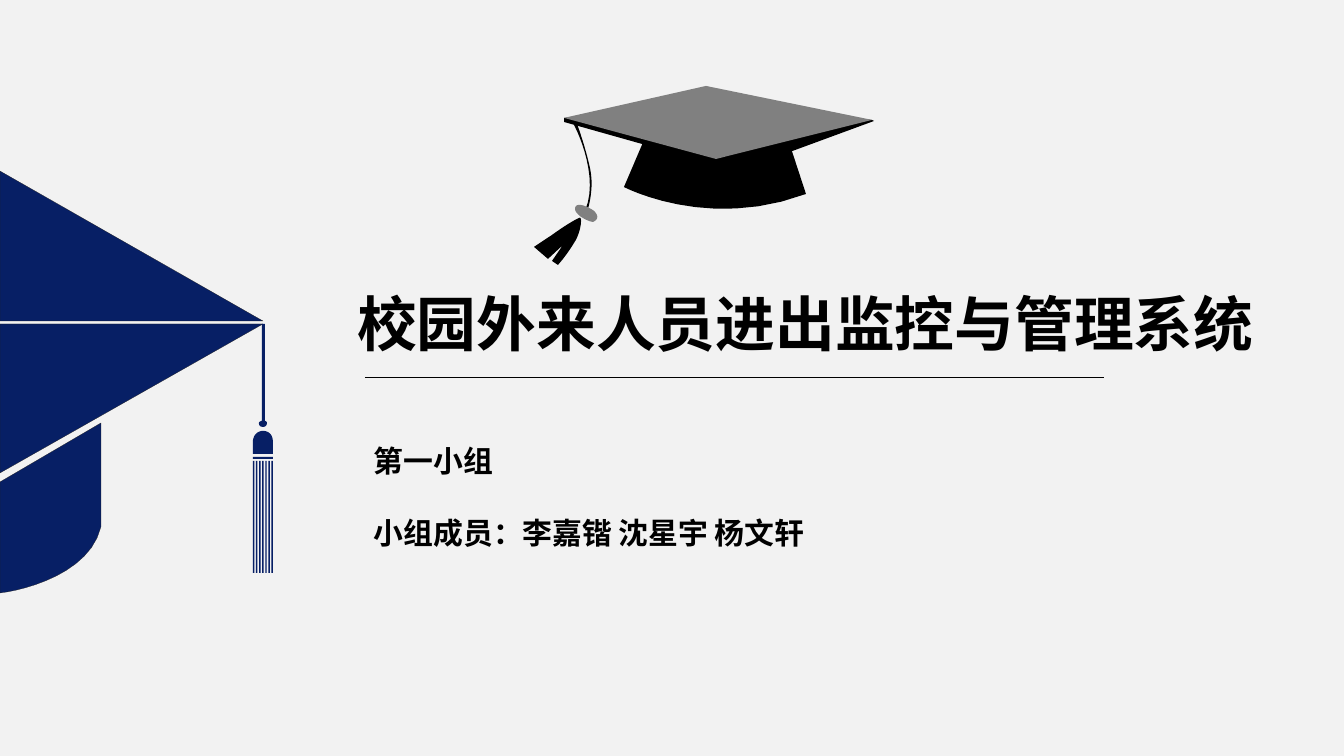
from lxml import etree
from pptx import Presentation
from pptx import util as u
from pptx.dml.color import RGBColor
from pptx.enum import shapes, text
from pptx.oxml.ns import qn

SCALE = 914400 / 134.4
FONT = "Noto Sans CJK SC"
COLORS = {"paper": "F2F2F2", "ink": "000000", "navy": "071F65", "edge": "24211D", "grey": "808080"}


def emu(px):
    return u.Emu(round(px * SCALE))


def color(name):
    return RGBColor.from_string(COLORS[name])


def flatten(contour, steps=12):
    points = [contour[0]]
    for item in contour[1:]:
        if len(item) == 2:
            points.append(item)
            continue
        start = points[-1]
        for step in range(1, steps + 1):
            t = step / steps
            s = 1 - t
            points.append(tuple(
                s**3 * start[i] + 3 * s * s * t * item[i] + 3 * s * t * t * item[i + 2] + t**3 * item[i + 4]
                for i in (0, 1)))
    return [(emu(x), emu(y)) for x, y in points]


def rectangle(left, top, right, bottom):
    return [(left, top), (right, top), (right, bottom), (left, bottom)]


class Deck:
    def __init__(self, width, height):
        self.presentation = Presentation()
        self.presentation.slide_width = emu(width)
        self.presentation.slide_height = emu(height)
        self.slide = None

    def add_slide(self):
        self.slide = self.presentation.slides.add_slide(self.presentation.slide_layouts[0])
        background = self.slide.background.fill
        background.solid()
        background.fore_color.rgb = color("paper")

    def words(self, index, box, lines, size, align, spacing):
        holder = self.slide.placeholders[index]
        holder.left, holder.top, holder.width, holder.height = map(emu, box)
        frame = holder.text_frame
        frame.text = "\n".join(lines)
        frame.word_wrap = True
        frame.auto_size = text.MSO_AUTO_SIZE.NONE
        frame.vertical_anchor = text.MSO_ANCHOR.TOP
        frame.margin_left = frame.margin_right = emu(10)
        frame.margin_top = frame.margin_bottom = emu(5)
        for paragraph in frame.paragraphs:
            paragraph.alignment = align
            paragraph.line_spacing = spacing
            paragraph.space_before = u.Pt(0)
            font = paragraph.font
            font.size = u.Pt(size)
            font.bold = True
            font.color.rgb = color("ink")
            font.name = FONT
            defaults = paragraph._p.pPr.find(qn("a:defRPr"))
            etree.SubElement(defaults, qn("a:ea")).set("typeface", FONT)

    def rule(self, left, right, y):
        line = self.slide.shapes.add_connector(
            shapes.MSO_CONNECTOR.STRAIGHT, emu(left), emu(y), emu(right), emu(y))
        line.line.color.rgb = color("ink")
        line.line.width = u.Pt(0.5)
        etree.SubElement(line._element.spPr, qn("a:effectLst"))

    def outline(self, fill, contours, edge=None):
        first, *others = map(flatten, contours)
        builder = self.slide.shapes.build_freeform(*first[0])
        builder.add_line_segments(first[1:], close=True)
        for points in others:
            builder.move_to(*points[0])
            builder.add_line_segments(points[1:], close=True)
        shape = builder.convert_to_shape()
        shape.shadow.inherit = False
        shape.fill.solid()
        shape.fill.fore_color.rgb = color(fill)
        if edge:
            shape.line.color.rgb = color(edge)
            shape.line.width = u.Pt(0.1)
        else:
            shape.line.fill.background()


def draw_side_cap(deck):
    upper_board = [(0, 171), (263, 321), (0, 321)]
    lower_board = [(263, 324), (0, 473), (0, 324)]
    skull = [(101, 527), (90, 573, 26, 590, 0, 593), (0, 482), (101, 423)]
    deck.outline("navy", [upper_board, lower_board, skull], "edge")

    cord = [(262, 324), (262, 421), (261, 421, 259, 422, 259, 423), (259, 426, 261, 427, 263, 427),
            (265, 427, 267, 426, 267, 423), (267, 422, 266, 421, 265, 421), (265, 324)]
    knob = [(253, 442), (253, 435, 258, 431, 263, 431), (269, 431, 273, 435, 273, 442),
            (273, 454), (253, 454)]
    band = rectangle(253, 457, 273, 459)
    lefts = [253 + strand * 18.5 / 6 for strand in range(7)]
    strands = [rectangle(left, 461, left + 1.5, 573) for left in lefts]
    deck.outline("navy", [cord, knob, band, *strands])


def draw_top_cap(deck):
    skull = [(645, 138), (624, 187), (624, 187, 707, 231, 806, 194), (789, 142)]
    board_edge = [(564, 118), (564, 122), (738, 171), (874, 121), (872, 120), (726, 101)]
    board = [(564, 118), (716, 159), (872, 120), (706, 86)]
    cord = [(577, 124), (577, 124, 574, 124, 574, 125), (579, 134, 599, 179, 585, 211), (587, 212),
            (587, 212, 595, 190, 590, 168), (585, 145, 577, 124, 577, 124)]
    bead = [(594, 211), (593, 210, 577, 200, 575, 208), (574, 215, 589, 222, 593, 222),
            (598, 220, 599, 216, 594, 211)]
    tassel = [(579, 218), (579, 218, 570, 222, 552, 235), (534, 247), (548, 259), (563, 245),
              (552, 261), (558, 265), (558, 265, 567, 255, 574, 243), (581, 233, 583, 215, 579, 218)]
    for fill, part in (("ink", skull), ("ink", board_edge), ("grey", board),
                       ("ink", cord), ("grey", bead), ("ink", tassel)):
        deck.outline(fill, [part])


def main():
    deck = Deck(1344, 756)
    deck.add_slide()
    deck.words(1, (364, 402, 503, 210), ["第一小组", "小组成员：李嘉锴 沈星宇 杨文轩"],
               16, text.PP_ALIGN.LEFT, 2.0)
    deck.words(0, (347, 282, 929, 82), ["校园外来人员进出监控与管理系统"],
               32, text.PP_ALIGN.JUSTIFY, 1.0)
    deck.rule(365, 1104, 378)
    draw_side_cap(deck)
    draw_top_cap(deck)
    deck.presentation.save("out.pptx")


if __name__ == "__main__":
    main()
